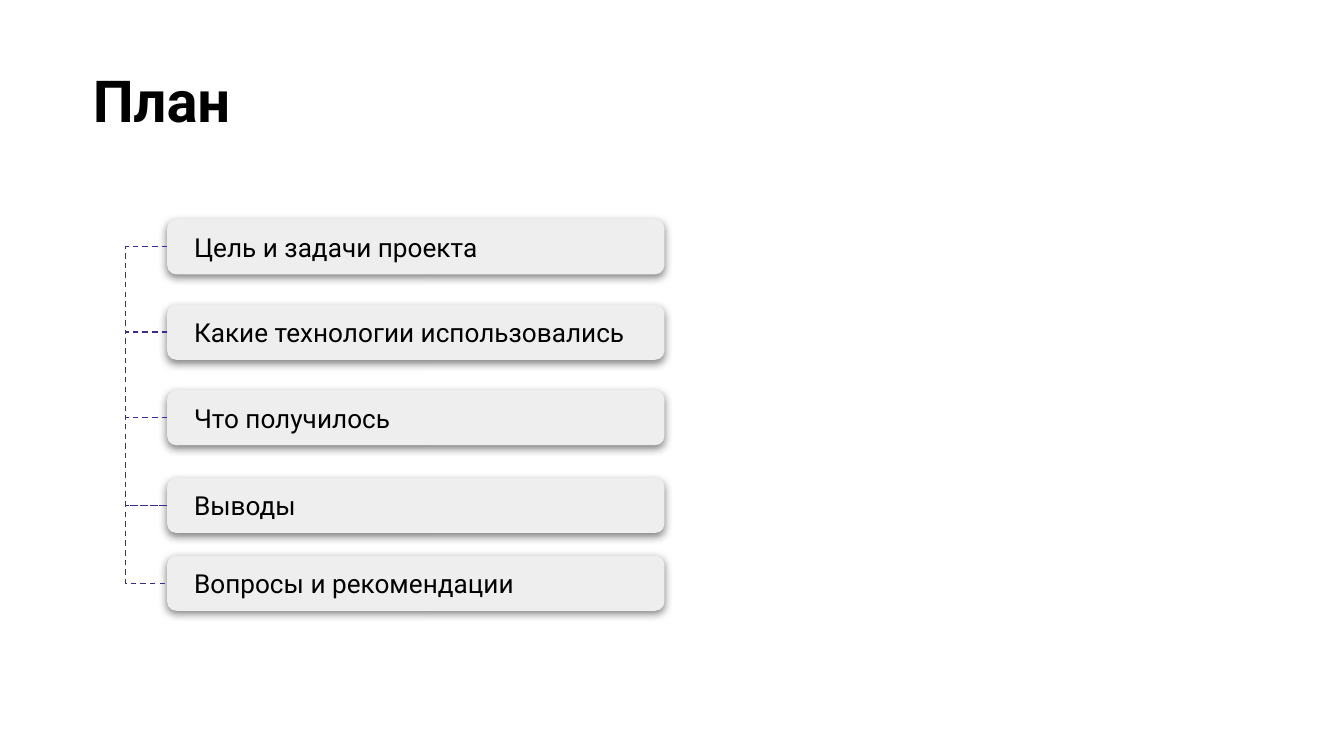
from itertools import pairwise

from lxml import etree
from pptx import Presentation
from pptx import util as u
from pptx.dml.color import RGBColor
from pptx.enum import dml, shapes, text
from pptx.oxml import ns

TITLE = "План"
AGENDA = [
    ("Цель и задачи проекта", 0.29),
    ("Какие технологии использовались", 0.403),
    ("Что получилось", 0.516),
    ("Выводы", 0.632),
    ("Вопросы и рекомендации", 0.735),
]

FONT = "Roboto"
BLACK = RGBColor(0x00, 0x00, 0x00)
CARD_GRAY = RGBColor(0xEE, 0xEE, 0xEE)
INDIGO = RGBColor(0x3F, 0x29, 0x9A)

WIDTH = u.Inches(10)
HEIGHT = WIDTH * 9 // 16
CARD_LEFT, CARD_WIDTH, CARD_HEIGHT = 0.1244, 0.37, 0.073
CONNECTOR_WIDTH = u.Emu(600)
BRACKET_DEPTH = u.Inches(0.26)

TITLE_FONT = {"name": FONT, "size": u.Pt(31), "bold": True}
CARD_FONT = {"name": FONT, "size": u.Pt(14), "bold": False}
TITLE_FRAME = {"margin_left": u.Inches(0.1), "margin_right": u.Inches(0.1),
               "vertical_anchor": text.MSO_ANCHOR.TOP}
CARD_FRAME = {"margin_left": u.Inches(0.18), "margin_right": u.Inches(0.18),
              "vertical_anchor": text.MSO_ANCHOR.MIDDLE}
SHARED_FRAME = {"margin_top": u.Inches(0.1), "margin_bottom": u.Inches(0.1),
                "word_wrap": True, "auto_size": text.MSO_AUTO_SIZE.NONE}
SHADOW = {"blurRad": u.Pt(4.5), "dist": u.Pt(1.5), "dir": 5400000,
          "algn": "bl", "rotWithShape": 0}


def apply(target, values):
    for name, value in values.items():
        setattr(target, name, value)


def place(shape, left, top, width, height):
    apply(shape, {"left": int(WIDTH * left), "top": int(HEIGHT * top),
                  "width": int(WIDTH * width), "height": int(HEIGHT * height)})


def write(shape, content, font, frame):
    apply(shape.text_frame, {**SHARED_FRAME, **frame})
    paragraph = shape.text_frame.paragraphs[0]
    paragraph.alignment = text.PP_ALIGN.LEFT
    run = paragraph.add_run()
    run.text = content
    apply(run.font, font)
    run.font.color.rgb = BLACK


def add_element(parent, tag, values):
    element = etree.SubElement(parent, ns.qn(tag))
    for name, value in values.items():
        element.set(name, str(value))
    return element


def add_card(slide, content, top):
    card = slide.shapes.add_shape(shapes.MSO_SHAPE.ROUNDED_RECTANGLE, 0, 0, 0, 0)
    place(card, CARD_LEFT, top, CARD_WIDTH, CARD_HEIGHT)
    card.adjustments[0] = 0.167
    card.fill.solid()
    card.fill.fore_color.rgb = CARD_GRAY
    card.line.fill.background()
    card.shadow.inherit = False
    effects = card._element.spPr.find(ns.qn("a:effectLst"))
    shadow = add_element(effects, "a:outerShdw", SHADOW)
    color = add_element(shadow, "a:srgbClr", {"val": BLACK})
    add_element(color, "a:alpha", {"val": 50000})
    write(card, content, CARD_FONT, CARD_FRAME)
    return card


def add_bracket(slide, upper, lower):
    start, end = (card.top + card.height // 2 for card in (upper, lower))
    bracket = slide.shapes.add_connector(
        shapes.MSO_CONNECTOR.ELBOW, upper.left, start,
        lower.left + CONNECTOR_WIDTH, end)
    apply(bracket.line, {"width": u.Pt(0.75), "dash_style": dml.MSO_LINE.DASH})
    bracket.line.color.rgb = INDIGO
    properties = bracket._element.spPr
    guides = properties.find(ns.qn("a:prstGeom")).get_or_add_avLst()
    bend = -BRACKET_DEPTH * 100000 // CONNECTOR_WIDTH
    add_element(guides, "a:gd", {"name": "adj1", "fmla": f"val {bend}"})
    add_element(properties, "a:effectLst", {})


def main():
    presentation = Presentation()
    apply(presentation, {"slide_width": WIDTH, "slide_height": HEIGHT})
    slide = presentation.slides.add_slide(presentation.slide_layouts[5])
    title = slide.shapes.title
    place(title, 0.059, 0.068, 0.932, 0.128)
    write(title, TITLE, TITLE_FONT, TITLE_FRAME)
    cards = [add_card(slide, content, top) for content, top in AGENDA]
    for upper, lower in pairwise(cards):
        add_bracket(slide, upper, lower)
    presentation.save("out.pptx")


if __name__ == "__main__":
    main()
